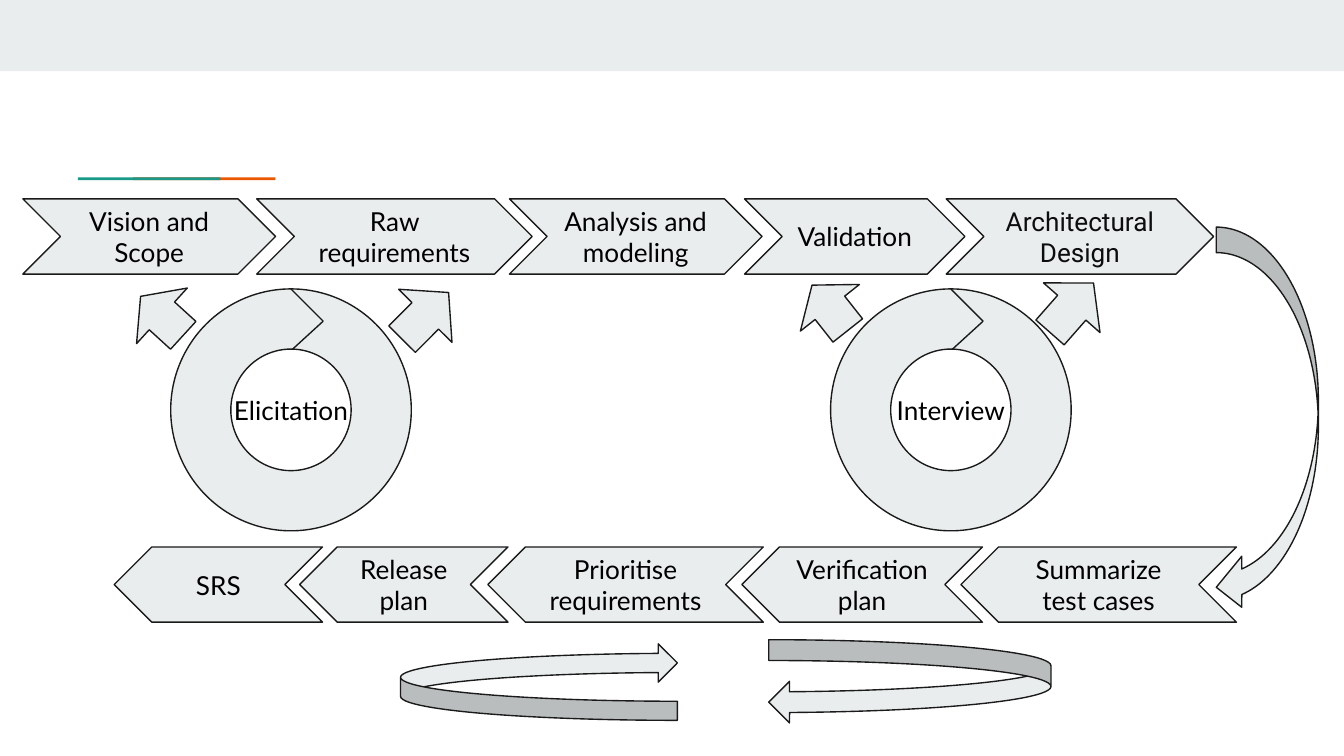
from pptx import Presentation
from pptx.dml.color import RGBColor
from pptx.enum.shapes import MSO_CONNECTOR, MSO_SHAPE
from pptx.enum.text import MSO_ANCHOR, PP_ALIGN
from pptx.oxml.ns import qn
from pptx.util import Inches, Pt
from lxml.etree import SubElement

PALE, INK = "E9EDEE", "1A1A1A"
GREEN, ORANGE = "1A9988", "EB5600"


def color(text):
    return RGBColor.from_string(text)


def add_part(slide, kind, box, fill=PALE, line=INK, turn=0, flip=False):
    part = slide.shapes.add_shape(kind, *[Inches(v) for v in box])
    part.shadow.inherit = False
    part.fill.solid()
    part.fill.fore_color.rgb = color(fill)
    if line:
        part.line.color.rgb = color(line)
        part.line.width = Pt(0.75)
    else:
        part.line.fill.background()
    part.rotation = turn
    if flip:
        part._element.spPr.find(qn("a:xfrm")).set("flipH", "1")
    return part


def add_label(part, text, font="Lato", ink="000000"):
    frame = part.text_frame
    frame.word_wrap = True
    frame.vertical_anchor = MSO_ANCHOR.MIDDLE
    frame.margin_left = frame.margin_right = Inches(0.1)
    frame.margin_top = frame.margin_bottom = Inches(0.1)
    frame.text = text
    para = frame.paragraphs[0]
    para.alignment = PP_ALIGN.CENTER
    face = para.runs[0].font
    face.name, face.size = font, Pt(14)
    face.color.rgb = color(ink)


def add_line(slide, start, end):
    line = slide.shapes.add_connector(
        MSO_CONNECTOR.STRAIGHT, *[Inches(v) for v in (*start, *end)])
    line.line.color.rgb = color(INK)
    line.line.width = Pt(0.75)
    SubElement(line._element.spPr, qn("a:effectLst"))


def add_header(slide, left, top, width):
    # Top band and the two-tone accent rule below it
    add_part(slide, MSO_SHAPE.RECTANGLE, (left, top, width, 0.53), line=None)
    for x, fill in ((0.99, ORANGE), (0.58, GREEN)):
        add_part(slide, MSO_SHAPE.RECTANGLE,
                 (left + x, top + 1.32, 1.06, 0.02), fill, None)


def add_row(slide, top, steps, flip=False):
    # One row of chevrons, each step as left, width, text and font
    for left, width, text, *font in steps:
        part = add_part(slide, MSO_SHAPE.CHEVRON,
                        (left, top, width, 0.56), flip=flip)
        add_label(part, text, *font)


def add_cycle(slide, left, top, text, arrows):
    # Ring with a notch at the top and two arrows pointing to the row above
    width, height = 1.79, 1.8
    ring = add_part(slide, MSO_SHAPE.DONUT, (left, top, width, height))
    add_label(ring, text)
    mid = left + width / 2
    tip = (mid + 0.24, top + 0.24)
    add_line(slide, (mid, top), tip)
    add_line(slide, tip, (mid + 0.01, top + 0.45))
    for x, y, wide, turn in arrows:
        add_part(slide, MSO_SHAPE.RIGHT_ARROW,
                 (left + x, top + y, wide, 0.56), turn=turn)


def add_loops(slide):
    # Curved arrows: row to row, then the pair below
    for box, turn in (((9.05, 1.69, 0.76, 2.87), 0),
                      ((5.72, 4.76, 2.1, 0.62), 0),
                      ((2.98, 4.79, 2.06, 0.57), 180)):
        add_part(slide, MSO_SHAPE.CURVED_LEFT_ARROW, box, turn=turn)


def main():
    deck = Presentation()
    # Widescreen, 16:9
    deck.slide_width = Inches(10)
    deck.slide_height = Inches(10 * 9 / 16)
    slide = deck.slides.add_slide(deck.slide_layouts[6])

    add_header(slide, 0, 0, 10)
    add_row(slide, 1.48, (
        (0.17, 1.88, "Vision and Scope"),
        (1.91, 2.05, "Raw requirements"),
        (3.79, 1.88, "Analysis and modeling"),
        (5.54, 1.64, "Validation"),
        (7.04, 1.99, "Architectural Design", "Roboto", "0D0D0D")))
    add_row(slide, 4.07, (
        (0.85, 1.55, "SRS"),
        (2.23, 1.55, "Release plan"),
        (3.63, 2.05, "Prioritise requirements"),
        (5.52, 1.79, "Verification plan"),
        (7.15, 2.05, "Summarize test cases")), flip=True)
    add_cycle(slide, 1.27, 2.15, "Elicitation",
              ((-0.28, -0.08, 0.43, 222.4), (1.65, -0.08, 0.49, 314.9)))
    add_cycle(slide, 6.18, 2.15, "Interview",
              ((-0.22, -0.14, 0.43, 231.7), (1.55, -0.14, 0.49, 311.3)))
    add_loops(slide)
    deck.save("out.pptx")


if __name__ == "__main__":
    main()
